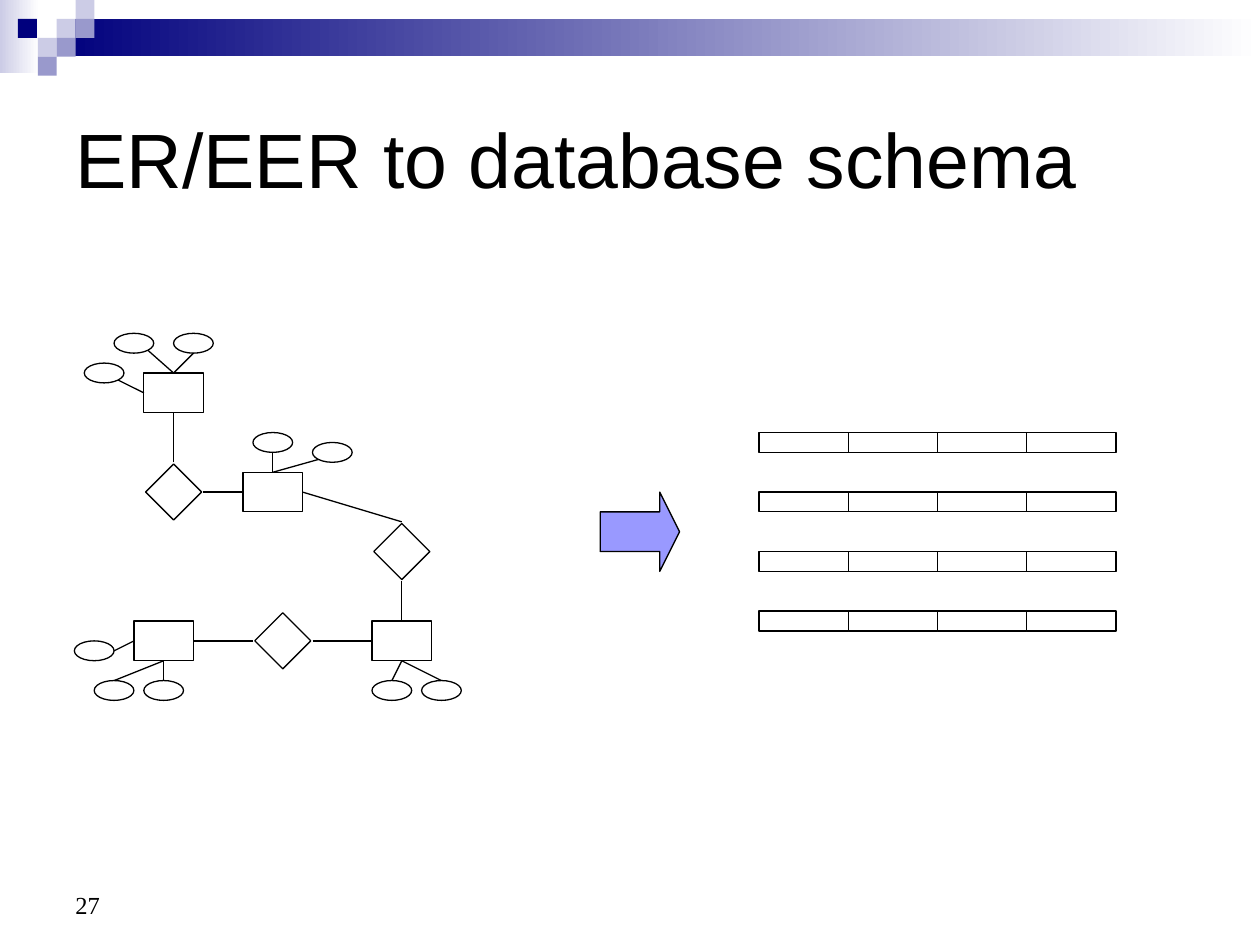
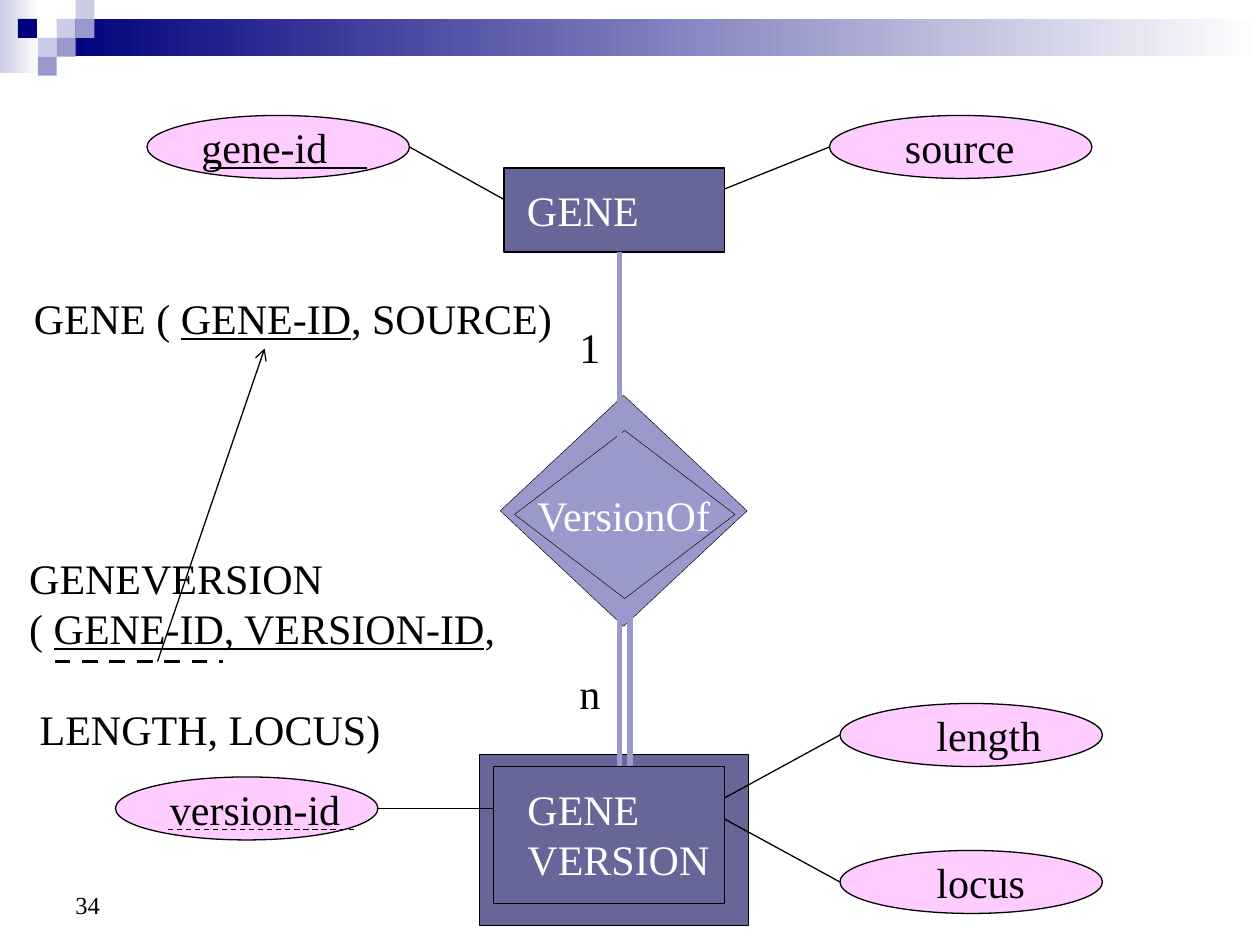
from pptx import Presentation
from pptx.dml.color import RGBColor
from pptx.enum.dml import MSO_LINE
from pptx.enum.shapes import MSO_CONNECTOR, MSO_SHAPE
from pptx.enum.text import MSO_ANCHOR
from pptx.oxml.ns import qn
from pptx.util import Cm, Inches, Pt
from lxml.etree import SubElement

HUES = {
    "black": "000000", "white": "FFFFFF", "navy": "00007D", "pale": "CCCCE6",
    "lilac": "9999CC", "slate": "666699", "pink": "FFCCFF", "arrow": "9999FF",
}
FONTS = {
    "title": {"name": "Arial", "size": Pt(44)},
    "page": {"name": "Times New Roman", "size": Pt(14)},
    "body": {"name": "Times New Roman", "size": Pt(24)},
}
LEAD = Pt(28.8)
TOP, LEFT, BOTTOM, RIGHT = range(4)


def hue(name):
    return RGBColor.from_string(HUES[name])


class Grid:
    """Places elements on a slide by column and row."""

    def __init__(self, slide, unit, left=0, top=0):
        self.shapes = slide.shapes
        self.unit, self.left, self.top = unit, left, top

    def spot(self, col, row):
        return int(self.left + col * self.unit), int(self.top + row * self.unit)

    def area(self, col, row, wide, high):
        return (*self.spot(col, row), int(wide * self.unit), int(high * self.unit))

    def form(self, kind, box, fill=None, edge=0.75, turn=0):
        item = self.shapes.add_shape(kind, *self.area(*box))
        item.shadow.inherit = False
        item.rotation = turn
        if isinstance(fill, tuple):
            item.fill.gradient()
            item.fill.gradient_angle = 0
            for stop, name in zip(item.fill.gradient_stops, fill):
                stop.color.rgb = hue(name)
        elif fill:
            item.fill.solid()
            item.fill.fore_color.rgb = hue(fill)
        else:
            item.fill.background()
        if edge:
            item.line.color.rgb = hue("black")
            item.line.width = Pt(edge)
        else:
            item.line.fill.background()
        return item

    def link(self, start, end, color="black", width=0.75, dash=None, head=False):
        item = self.shapes.add_connector(
            MSO_CONNECTOR.STRAIGHT, *self.spot(*start), *self.spot(*end))
        look = {"width": Pt(width), "dash_style": dash}
        item.line.color.rgb = hue(color)
        for key, value in look.items():
            setattr(item.line, key, value)
        if head:
            SubElement(item.line._get_or_add_ln(), qn("a:tailEnd"), type="arrow")
        SubElement(item._element.spPr, qn("a:effectLst"))
        return item

    def text(self, box, lines, font="body", color="black",
             anchor=MSO_ANCHOR.TOP, wrap=False, gaps=()):
        """Words between underscores are underlined; gaps lists lines set apart."""
        frame = self.shapes.add_textbox(*self.area(*box)).text_frame
        frame.word_wrap = wrap
        frame.vertical_anchor = anchor
        for num, line in enumerate(lines):
            para = frame.add_paragraph() if num else frame.paragraphs[0]
            if font == "body":
                para.line_spacing = LEAD
            if num in gaps:
                para.space_before = LEAD
            for part, words in enumerate(line.split("_")):
                if words:
                    run = para.add_run()
                    run.text = words
                    look = {**FONTS[font], "underline": part % 2 == 1}
                    for key, value in look.items():
                        setattr(run.font, key, value)
                    run.font.color.rgb = hue(color)


def start(deck, page):
    """Adds a slide with the shared band, squares and page number."""
    slide = deck.slides.add_slide(deck.slide_layouts[6])
    band = Grid(slide, Inches(0.15))
    band.form(MSO_SHAPE.RECTANGLE, (0, 0, 2.07, 3.87), ("pale", "white"), 0)
    band.form(MSO_SHAPE.RECTANGLE, (3, 1, 63.67, 1.96), ("navy", "white"), 0)
    tiles = {"pale": [(3, 1), (4, 0), (2, 2)],
             "lilac": [(4, 1), (3, 2), (2, 3)], "navy": [(0.95, 1)]}
    for color, spots in tiles.items():
        for spot in spots:
            band.form(MSO_SHAPE.RECTANGLE, (*spot, 1, 1), color, 0)
    Grid(slide, Inches(1)).text((0.5, 6.83, 2.33, 0.52), [page], "page",
                                anchor=MSO_ANCHOR.BOTTOM, wrap=True)
    return slide


def schema(deck):
    slide = start(deck, "27")
    Grid(slide, Inches(1)).text((0.5, 0.5, 9, 1.5), ["ER/EER to database schema"],
                                "title", anchor=MSO_ANCHOR.MIDDLE, wrap=True)
    grid = Grid(slide, Cm(0.2), Cm(1.5), Cm(6.72))
    arrow = grid.form(MSO_SHAPE.RIGHT_ARROW, (53, 16, 8, 8), "arrow")
    arrow.adjustments[1] = 0.25

    # Entities, attributes and relationships
    first, second, third, fourth = [
        grid.form(MSO_SHAPE.RECTANGLE, (*spot, 6, 4))
        for spot in [(7, 4), (17, 14), (30, 29), (6, 29)]]
    for spot in [(4, 0), (1, 3), (10, 0), (0, 31), (2, 35), (7, 35),
                 (30, 35), (35, 35), (18, 10), (24, 11)]:
        grid.form(MSO_SHAPE.OVAL, (*spot, 4, 2))
    for spot in [(8, 14), (19, 29), (31, 20)]:
        grid.form(MSO_SHAPE.RECTANGLE, (*spot, 4, 4), turn=45)

    # Every link ends on a side of an entity
    links = [
        (first, TOP, [(7.41, 1.71), (12, 2)]), (first, LEFT, [(4.41, 4.71)]),
        (first, BOTTOM, [(10, 13)]),
        (second, TOP, [(20, 12), (24.59, 12.71)]), (second, LEFT, [(13, 16)]),
        (second, RIGHT, [(33, 19)]),
        (third, TOP, [(33, 25)]), (third, LEFT, [(24, 31)]),
        (third, BOTTOM, [(32, 35), (37, 35)]),
        (fourth, LEFT, [(4, 32)]), (fourth, RIGHT, [(18, 31)]),
        (fourth, BOTTOM, [(4, 35), (9, 35)]),
    ]
    for box, side, spots in links:
        for spot in spots:
            grid.link(spot, spot).end_connect(box, side)

    # Relations of the schema
    for row in range(4):
        for col in range(4):
            grid.form(MSO_SHAPE.RECTANGLE, (69 + 9 * col, 10 + 6 * row, 9, 2))


def gene(deck):
    grid = Grid(start(deck, "34"), Inches(1) / 12)

    # Weak entity and its relationship
    grid.form(MSO_SHAPE.DIAMOND, (47.65, 37.65, 23.5, 22), "lilac", 0.25)
    grid.form(MSO_SHAPE.RECTANGLE, (45.65, 71.85, 25.6, 16.3), "slate", 0.25)
    grid.form(MSO_SHAPE.DIAMOND, (49, 41, 21, 16), "lilac", 0.25)
    grid.text((50, 46, 20, 6), ["VersionOf"], color="white")

    # Attributes: place, label and label column
    for col, row, label, left in [
            (14, 11, "gene-id", 18), (79, 11, "source", 85),
            (11, 74, "version-id", 15), (80, 67, "length", 88),
            (80, 81, "locus", 88)]:
        grid.form(MSO_SHAPE.OVAL, (col, row, 25, 6), "pink")
        grid.text((left, row, 20, 6), [label])

    # Entities
    grid.form(MSO_SHAPE.RECTANGLE, (48, 16, 21, 8), "slate")
    grid.text((49, 17, 20, 6), ["GENE"], color="white")
    grid.form(MSO_SHAPE.RECTANGLE, (47, 73, 22, 13), "slate", 0.25)
    grid.text((49.05, 74, 21, 10.8), ["GENE", "VERSION"], color="white")

    # Links to attributes, then to the relationship
    for ends in [((48, 19), (39, 14)), ((69, 18), (79, 14)), ((69, 76), (80, 70)),
                 ((69, 78), (80, 84)), ((47, 77), (36, 77))]:
        grid.link(*ends)
    for ends in [((59, 42), (59, 24)), ((59, 57), (59, 73)), ((60, 57), (60, 73))]:
        grid.link(*ends, "lilac", 3)
    for row, count in [(30, "1"), (63, "n")]:
        grid.text((54, row, 5, 6), [count])

    # Key marks
    grid.link((20, 16), (35, 16))
    grid.link((16, 79), (34, 79), dash=MSO_LINE.DASH)

    # Relations and the foreign key
    grid.text((2.05, 27.25, 53, 6), ["GENE ( _GENE-ID_, SOURCE)"])
    grid.text((1.6, 52, 48, 20.4),
              ["GENEVERSION", "( _GENE-ID, VERSION-ID_,", " LENGTH, LOCUS)"], gaps=[2])
    grid.link((5.2, 63), (21.2, 63), width=2.25, dash=MSO_LINE.DASH)
    grid.link((15, 63), (25.2, 33.2), head=True)


def main():
    deck = Presentation()
    deck.slide_width, deck.slide_height = Inches(10), Inches(7.5)
    schema(deck)
    gene(deck)
    deck.save("out.pptx")


if __name__ == "__main__":
    main()
